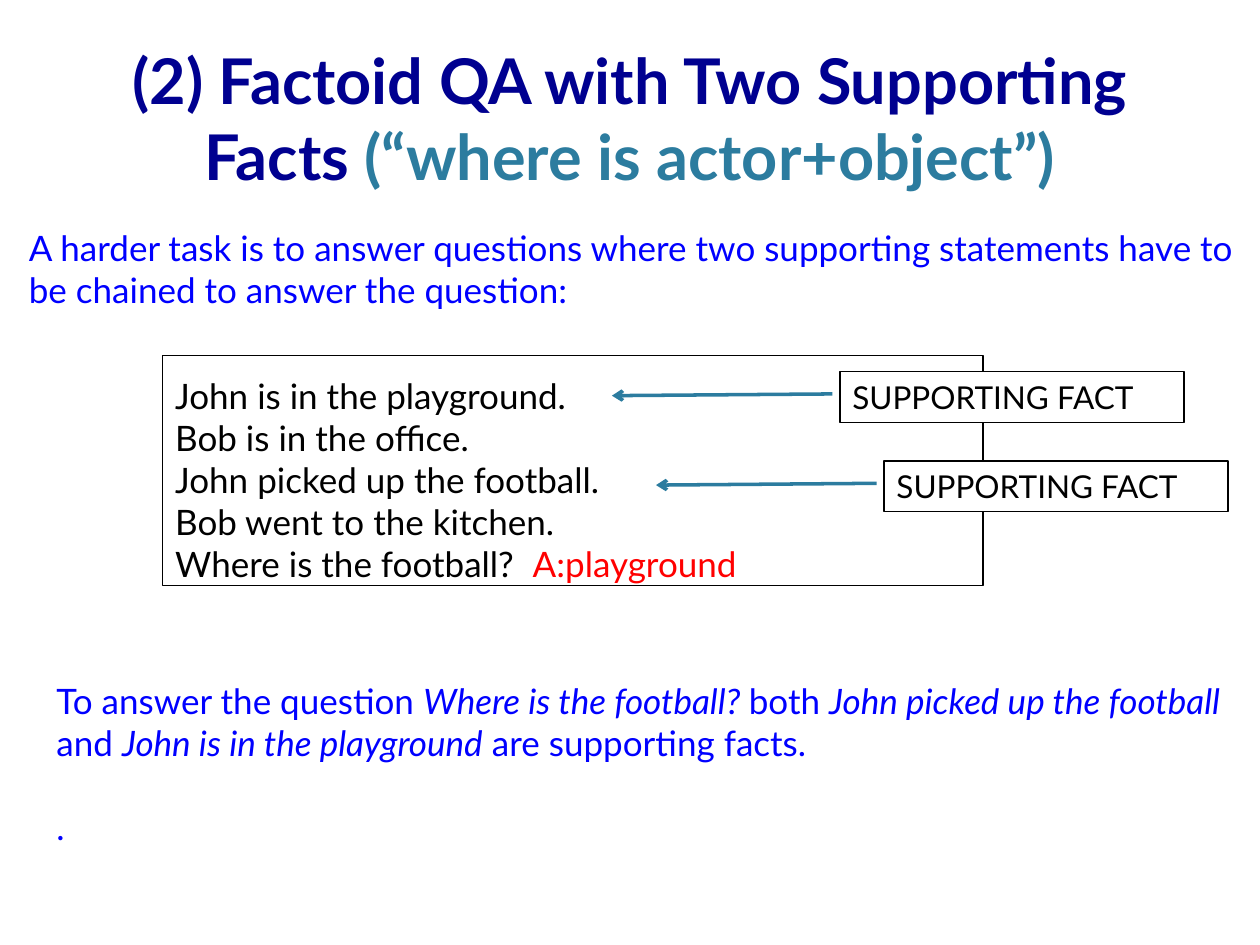
"""Build the slide on factoid question answering with two supporting facts."""
from dataclasses import dataclass

from lxml import etree
from pptx import Presentation
from pptx import util as u
from pptx.dml.color import RGBColor
from pptx.enum import shapes, text
from pptx.oxml.ns import qn


@dataclass(frozen=True)
class Theme:
    font: str = "Lato"
    title_size: float = 36
    body_size: float = 20
    label_size: float = 18
    navy: str = "000090"
    teal: str = "2C7C9F"
    blue: str = "0000FF"
    black: str = "000000"
    red: str = "FF0000"
    white: str = "FFFFFF"


@dataclass(frozen=True)
class Span:
    words: str
    color: str | None = None
    italic: bool | None = None


@dataclass(frozen=True)
class Line:
    spans: tuple[Span, ...]
    size: float
    color: str
    bold: bool = False
    align: text.PP_ALIGN = text.PP_ALIGN.LEFT
    before: float = 0
    tab: float | None = None


@dataclass(frozen=True)
class Box:
    left: float
    top: float
    width: float
    height: float


THEME = Theme()


def write(frame, lines: list[Line], anchor=text.MSO_ANCHOR.TOP, inset_top: float = 3.6,
          inset_bottom: float = 3.6) -> None:
    frame.word_wrap = True
    frame.vertical_anchor = anchor
    frame.margin_top, frame.margin_bottom = u.Pt(inset_top), u.Pt(inset_bottom)
    for index, line in enumerate(lines):
        paragraph = frame.add_paragraph() if index else frame.paragraphs[0]
        paragraph.alignment = line.align
        if line.before:
            paragraph.space_before = u.Pt(line.before)
        if line.tab:
            stops = etree.SubElement(paragraph._p.get_or_add_pPr(), qn("a:tabLst"))
            etree.SubElement(stops, qn("a:tab"), pos=str(u.Pt(line.tab)), algn="l")
        font = paragraph.font
        font.name, font.size, font.bold = THEME.font, u.Pt(line.size), line.bold
        font.color.rgb = RGBColor.from_string(line.color)
        for span in line.spans:
            run = paragraph.add_run()
            run.text = span.words
            if span.italic:
                run.font.italic = True
            if span.color:
                run.font.color.rgb = RGBColor.from_string(span.color)


def points(box: Box) -> tuple[u.Length, ...]:
    return u.Pt(box.left), u.Pt(box.top), u.Pt(box.width), u.Pt(box.height)


def add_text(slide, box: Box, lines: list[Line], anchor=text.MSO_ANCHOR.TOP) -> None:
    write(slide.shapes.add_textbox(*points(box)).text_frame, lines, anchor)


def add_panel(slide, box: Box, lines: list[Line], fill: str | None = None, **insets: float) -> None:
    panel = slide.shapes.add_shape(shapes.MSO_SHAPE.RECTANGLE, *points(box))
    panel.shadow.inherit = False
    if fill:
        panel.fill.solid()
        panel.fill.fore_color.rgb = RGBColor.from_string(fill)
    else:
        panel.fill.background()
    panel.line.color.rgb = RGBColor.from_string(THEME.black)
    panel.line.width = u.Pt(0.75)
    write(panel.text_frame, lines, **insets)


def add_arrow(slide, start: tuple[float, float], end: tuple[float, float]) -> None:
    arrow = slide.shapes.add_connector(shapes.MSO_CONNECTOR.STRAIGHT, *map(u.Pt, start + end))
    arrow.line.color.rgb = RGBColor.from_string(THEME.teal)
    arrow.line.width = u.Pt(2)
    etree.SubElement(arrow.line._get_or_add_ln(), qn("a:tailEnd"), type="arrow")
    etree.SubElement(arrow._element.spPr, qn("a:effectLst"))


def add_supporting_fact(slide, left: float, top: float) -> None:
    add_arrow(slide, (left - 4.3, top + 12.7), (left - 130.3, top + 13.7))
    label = Line((Span("SUPPORTING FACT"),), THEME.label_size, THEME.black)
    add_panel(slide, Box(left, top, 196.6, 29), [label], THEME.white)


def body(*spans: Span, color: str = THEME.blue, **options: float) -> Line:
    return Line(spans, THEME.body_size, color, **options)


def main() -> None:
    deck = Presentation()
    deck.slide_width, deck.slide_height = u.Pt(720), u.Pt(540)
    slide = deck.slides.add_slide(deck.slide_layouts[6])

    title = Line((Span("(2) Factoid QA with Two Supporting Facts "),
                  Span("(“where is actor+object”)", THEME.teal)),
                 THEME.title_size, THEME.navy, bold=True, align=text.PP_ALIGN.CENTER)
    add_text(slide, Box(43.2, 8.6, 633.6, 105.2), [title], text.MSO_ANCHOR.BOTTOM)

    task = Span("A harder task is to answer questions where two supporting statements "
                "have to be chained to answer the question:")
    add_text(slide, Box(9.4, 126, 710.6, 86.4), [body(task)])

    statements = ("John is in the playground.", "Bob is in the office.",
                  "John picked up the football.", "Bob went to the kitchen.")
    story = [body(Span(statement), color=THEME.black) for statement in statements]
    story.append(body(Span("Where is the football?\t"), Span("A:playground", THEME.red),
                      color=THEME.black, tab=204.3))
    add_panel(slide, Box(93, 203, 468.7, 131.8), story, inset_top=10.8, inset_bottom=0)

    explanation = body(Span("To answer the question "),
                       Span("Where is the football? ", italic=True), Span("both "),
                       Span("John picked up the football", italic=True), Span(" and "),
                       Span("John is in the playground", italic=True),
                       Span(" are supporting facts."))
    add_text(slide, Box(25.2, 384.5, 681.8, 126), [explanation, body(Span("."), before=24)])

    for left, top in ((480, 212.4), (505.2, 263.5)):
        add_supporting_fact(slide, left, top)

    deck.save("out.pptx")


if __name__ == "__main__":
    main()
